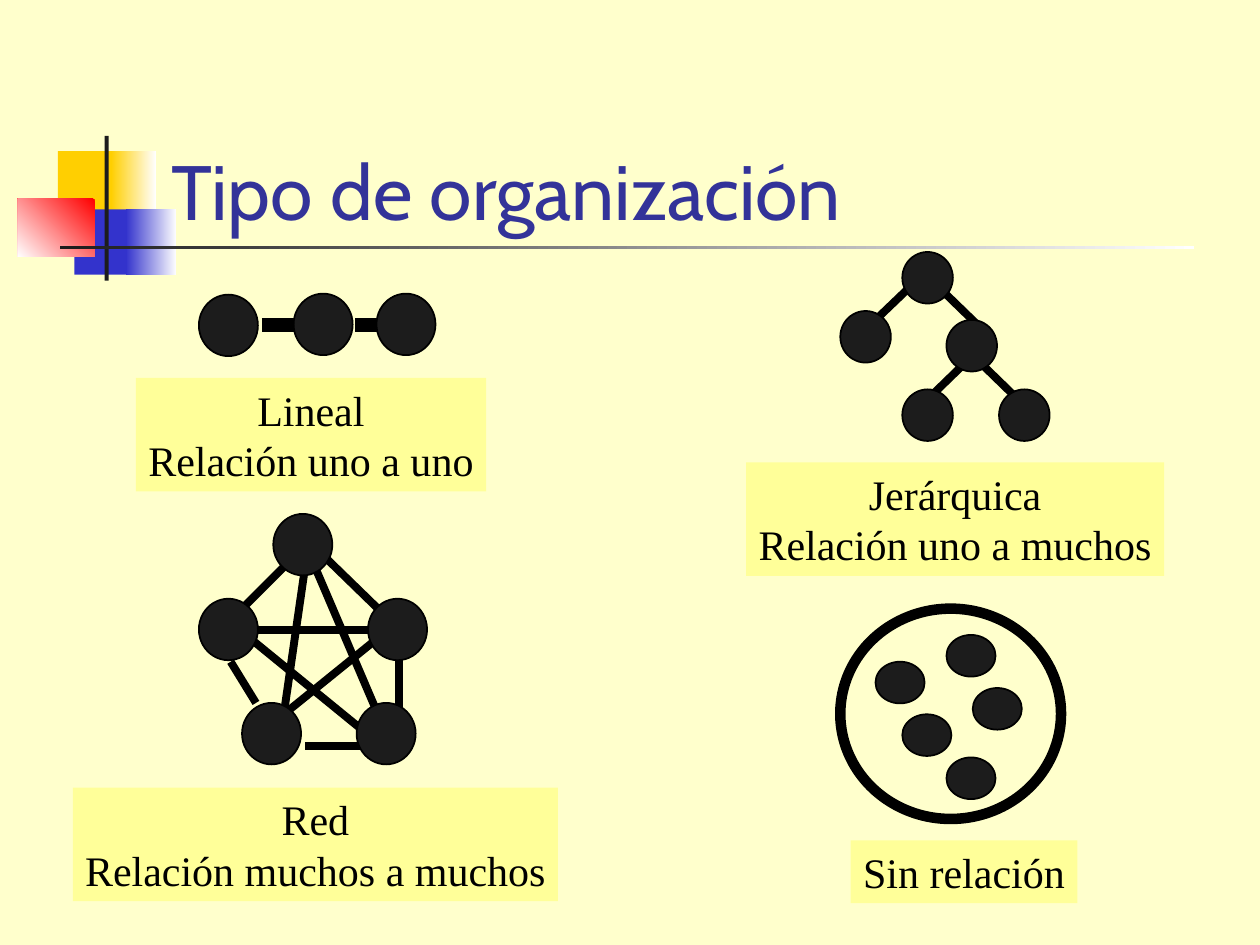
"""Build a slide showing four types of organisation as node diagrams."""
from lxml.etree import SubElement
from pptx import Presentation
from pptx.dml.color import RGBColor
from pptx.enum.shapes import MSO_CONNECTOR, MSO_SHAPE
from pptx.enum.text import MSO_ANCHOR, PP_ALIGN
from pptx.oxml.ns import qn
from pptx.util import Cm, Pt


def paint(part, color):
    part.solid()
    part.fore_color.rgb = RGBColor.from_string(color)


def draw(shapes, kind, box, color=None, line=None, width=1):
    shape = shapes.add_shape(kind, *map(Cm, box))
    shape.shadow.inherit = False
    if color:
        paint(shape.fill, color)
    else:
        shape.fill.background()
    if line:
        paint(shape.line.fill, line)
        shape.line.width = Pt(width)
    else:
        shape.line.fill.background()
    return shape


deck = Presentation()
deck.slide_width, deck.slide_height = Cm(25.4), Cm(19.05)
slide = deck.slides.add_slide(deck.slide_layouts[6])
paint(slide.background.fill, "FFFFCC")

bars = [
    ((1.17, 3.05, 1.22, 1.32), "FFCF01", None, 0),
    ((2.24, 3.05, 0.91, 1.32), "FFFFFF", "FFCF01", 180),
    ((1.5, 4.22, 1.17, 1.32), "3333CC", None, 0),
    ((2.54, 4.22, 1.02, 1.32), "FFFFFF", "3333CC", 180),
    ((0.36, 4.01, 1.55, 1.17), "FF0000", "FFFFFF", 135),
    ((2.11, 2.74, 0.08, 2.92), "1C1C1C", None, 0),
    ((1.22, 4.95, 22.86, 0.08), "FFFFFF", "1C1C1C", 180),
]
for box, start, end, angle in bars:
    bar = draw(slide.shapes, MSO_SHAPE.RECTANGLE, box, start)
    if end:
        bar.fill.gradient()
        bar.fill.gradient_angle = 360 - angle
        for stop, color, place in zip(bar.fill.gradient_stops, (start, end), (0, 1)):
            stop.color.rgb = RGBColor.from_string(color)
            stop.position = place

title = slide.shapes.add_textbox(Cm(3.2), Cm(1.7), Cm(21.64), Cm(3.18))
frame = title.text_frame
frame.word_wrap = True
frame.vertical_anchor = MSO_ANCHOR.BOTTOM
frame.text = "Tipo de organización"
font = frame.paragraphs[0].font
font.name, font.size = "Cabin", Pt(44)
paint(font.fill, "333399")

line_links = [(5.28, 6.55, 5.92, 6.55), (7.16, 6.55, 7.8, 6.55)]
line_nodes = [(4.01, 5.94), (5.92, 5.92), (7.59, 5.92)]
tree_links = [
    (17.65, 6.45, 18.36, 5.77), (18.72, 8.03, 19.43, 7.34),
    (19.08, 5.94, 19.79, 6.63), (19.79, 7.34, 20.5, 8.03),
]
tree_nodes = [(18.19, 5.08), (18.19, 7.85), (16.94, 6.27), (20.14, 7.85), (19.08, 6.45)]
net_links = [
    (5.72, 11.43, 4.88, 12.27), (4.65, 13.34, 5.16, 14.17),
    (6.55, 11.23, 7.62, 12.27), (6.15, 15.04, 7.42, 15.04),
    (8.05, 13.13, 8.05, 14.4), (6.15, 11.43, 5.72, 14.4),
    (5.08, 12.9, 7.42, 14.81), (7.82, 12.7, 5.72, 14.4),
    (5.08, 12.7, 7.42, 12.7), (6.35, 11.43, 7.62, 14.4),
]
net_nodes = [(5.51, 10.36), (4.01, 12.07), (7.42, 12.07), (4.88, 14.17), (7.19, 14.17)]
loose_nodes = [(17.65, 13.34), (18.19, 14.4), (19.61, 13.87), (19.08, 15.27), (19.08, 12.8)]
ring = (16.94, 12.27, 4.45, 4.24)

graphs = [
    (None, line_links, 8, line_nodes, (1.19, 1.24)),
    (None, tree_links, 4.5, tree_nodes, (1.02, 1.04)),
    (None, net_links, 4.5, net_nodes, (1.19, 1.24)),
    (ring, [], 0, loose_nodes, (0.99, 0.84)),
]
for hoop, links, width, nodes, size in graphs:
    group = slide.shapes.add_group_shape().shapes
    if hoop:
        draw(group, MSO_SHAPE.OVAL, hoop, None, "000000", 6)
    for ends in links:
        link = group.add_connector(MSO_CONNECTOR.STRAIGHT, *map(Cm, ends))
        paint(link.line.fill, "000000")
        link.line.width = Pt(width)
        SubElement(link._element.spPr, qn("a:effectLst"))
    for node in nodes:
        draw(group, MSO_SHAPE.OVAL, node + size, "1C1C1C", "000000")

labels = [
    ((2.74, 7.62, 7.06, 2.29), "Lineal\nRelación uno a uno"),
    ((15.04, 9.32, 8.43, 2.29), "Jerárquica\nRelación uno a muchos"),
    ((1.47, 15.88, 9.78, 2.29), "Red\nRelación muchos a muchos"),
    ((17.15, 16.94, 4.57, 1.27), "Sin relación"),
]
for box, text in labels:
    label = draw(slide.shapes, MSO_SHAPE.RECTANGLE, box, "FFFF99")
    frame = label.text_frame
    frame.word_wrap = False
    frame.vertical_anchor = MSO_ANCHOR.TOP
    frame.text = text
    for para in frame.paragraphs:
        para.alignment = PP_ALIGN.CENTER if "\n" in text else PP_ALIGN.LEFT
        para.font.name, para.font.size = "Times New Roman", Pt(24)
        paint(para.font.fill, "000000")

deck.save("out.pptx")
